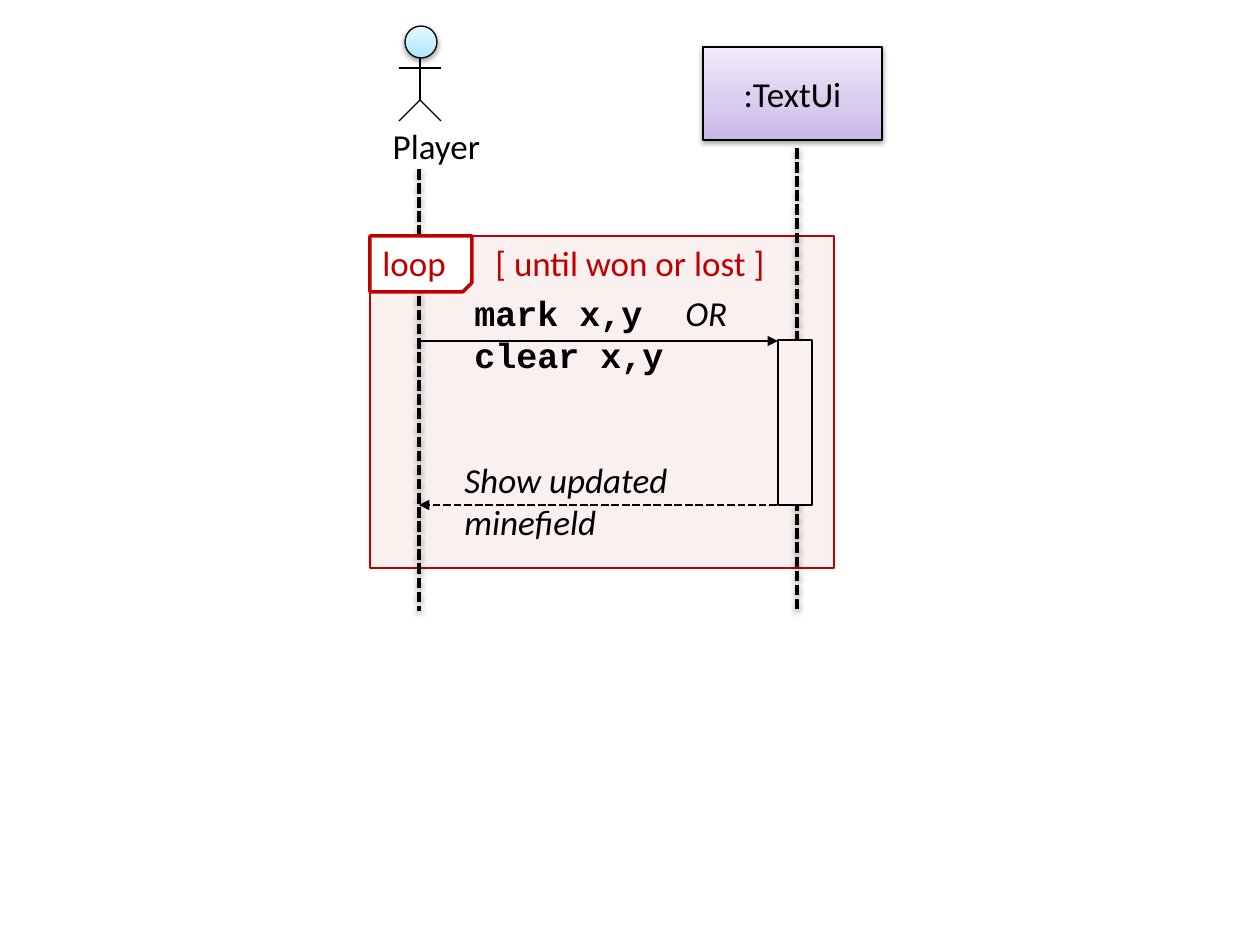
import copy
import lxml.etree
import pptx
import pptx.dml.color
import pptx.enum.dml
import pptx.enum.shapes
import pptx.enum.text
import pptx.oxml.ns
import pptx.util

PX = 914400 / 126
COLORS = {"ink": "000000", "red": "C00000", "rose": "FAF0F0", "white": "FFFFFF"}
FADES = {
    "violet": ["C9B5E8", "D8CBEE", "F0EAF9"],
    "sky": ["A7E6FF", "C1EDFF", "E7F8FF"],
}
RGB = pptx.dml.color.RGBColor.from_string
KIND = pptx.enum.shapes.MSO_SHAPE
DASH = pptx.enum.dml.MSO_LINE.SQUARE_DOT
ALIGN = pptx.enum.text.PP_ALIGN
ANCHOR = pptx.enum.text.MSO_ANCHOR
qn = pptx.oxml.ns.qn

deck = pptx.Presentation()
deck.slide_width, deck.slide_height = round(1260 * PX), round(945 * PX)
slide = deck.slides.add_slide(deck.slide_layouts[6])
shaded = []


def box(home, kind, place, fill, edge, weight):
    shape = home.add_shape(kind, *[round(n * PX) for n in place])
    shape.shadow.inherit = False
    if fill in FADES:
        shape.fill.gradient()
        shape.fill.gradient_angle = 90
        first = shape.fill.gradient_stops[0]._gs
        first.addnext(copy.deepcopy(first))
        for stop, tone, spot in zip(shape.fill.gradient_stops, FADES[fill], [0, 0.35, 1]):
            stop.color.rgb = RGB(tone)
            stop.position = spot
        shaded.append(shape)
    else:
        shape.fill.solid()
        shape.fill.fore_color.rgb = RGB(COLORS[fill])
    shape.line.color.rgb = RGB(COLORS[edge])
    shape.line.width = pptx.util.Pt(weight)
    return shape


def link(home, ends, weight, dash=None, head=False):
    line = home.add_connector(
        pptx.enum.shapes.MSO_CONNECTOR.STRAIGHT, *[round(n * PX) for n in ends])
    line.line.color.rgb = RGB(COLORS["ink"])
    line.line.width = pptx.util.Pt(weight)
    if dash:
        line.line.dash_style = dash
    if head:
        lxml.etree.SubElement(line.line._get_or_add_ln(), qn("a:tailEnd"), type="triangle")
    lxml.etree.SubElement(line._element.spPr, qn("a:effectLst"))
    return line


root = slide.shapes
box(root, KIND.RECTANGLE, (370, 236, 464, 332), "rose", "red", 1.5)
shaded.append(link(root, (419, 169, 419, 611), 2, DASH))
tag = box(root, KIND.SNIP_1_RECTANGLE, (370, 236, 102, 56), "white", "red", 2)
tag._element.spPr.find(qn("a:xfrm")).set("flipV", "1")
shaded.append(link(root, (797, 148, 797, 611), 2, DASH))
screen = box(root, KIND.RECTANGLE, (703, 47, 179, 93), "violet", "ink", 0.75)
link(root, (420, 341, 778, 341), 1.5, head=True)
link(root, (777, 505, 419, 505), 1.5, DASH, True)

actor = root.add_group_shape().shapes
for limb in [(420, 48, 420, 100), (399, 68, 441, 68),
             (420, 100, 399, 121), (420, 100, 441, 121)]:
    link(actor, limb, 0.75)
box(actor, KIND.OVAL, (405, 26, 32, 32), "sky", "ink", 0.75)
box(root, KIND.RECTANGLE, (778, 340, 34, 165), "rose", "ink", 1.5)

for shape in shaded:
    glow = shape._element.spPr.find(qn("a:effectLst"))
    shade = lxml.etree.SubElement(
        glow, qn("a:outerShdw"), blurRad="40000", dist="20000", dir="5400000", rotWithShape="0")
    tint = lxml.etree.SubElement(shade, qn("a:srgbClr"), val=COLORS["ink"])
    lxml.etree.SubElement(tint, qn("a:alpha"), val="38000")

plain = {"name": "Calibri", "size": pptx.util.Pt(20), "bold": False, "italic": False}
slant = {**plain, "italic": True}
code = {**plain, "name": "Courier New", "bold": True}
labels = [
    (None, "ink", ALIGN.CENTER, ANCHOR.TOP, 0, [(":TextUi", plain)]),
    ((370, 236, 417, 53), "red", ALIGN.LEFT, ANCHOR.MIDDLE, 113,
     [("loop\t[ until won or lost ]", plain)]),
    ((462, 285, 379, 97), "ink", ALIGN.LEFT, ANCHOR.TOP, 211,
     [("mark x,y\t", code), ("OR", slant), ("\n", slant), ("clear x,y", code)]),
    ((452, 452, 311, 97), "ink", ALIGN.LEFT, ANCHOR.TOP, 0,
     [("Show updated minefield", slant)]),
    ((362, 118, 149, 55), "ink", ALIGN.CENTER, ANCHOR.TOP, 0, [("Player", plain)]),
]
for place, color, align, anchor, tab, runs in labels:
    if place:
        frame = root.add_textbox(*[round(n * PX) for n in place]).text_frame
    else:
        frame = screen.text_frame
        frame.margin_top = frame.margin_bottom = round(25 * PX)
    frame.word_wrap = True
    frame.vertical_anchor = anchor
    para = frame.paragraphs[0]
    para.alignment = align
    if tab:
        tabs = lxml.etree.SubElement(para._p.get_or_add_pPr(), qn("a:tabLst"))
        lxml.etree.SubElement(tabs, qn("a:tab"), pos=str(round(tab * PX)), algn="l")
    for words, style in runs:
        if words == "\n":
            para.add_line_break()
            continue
        run = para.add_run()
        run.text = words
        run.font.color.rgb = RGB(COLORS[color])
        for key, value in style.items():
            setattr(run.font, key, value)

deck.save("out.pptx")
